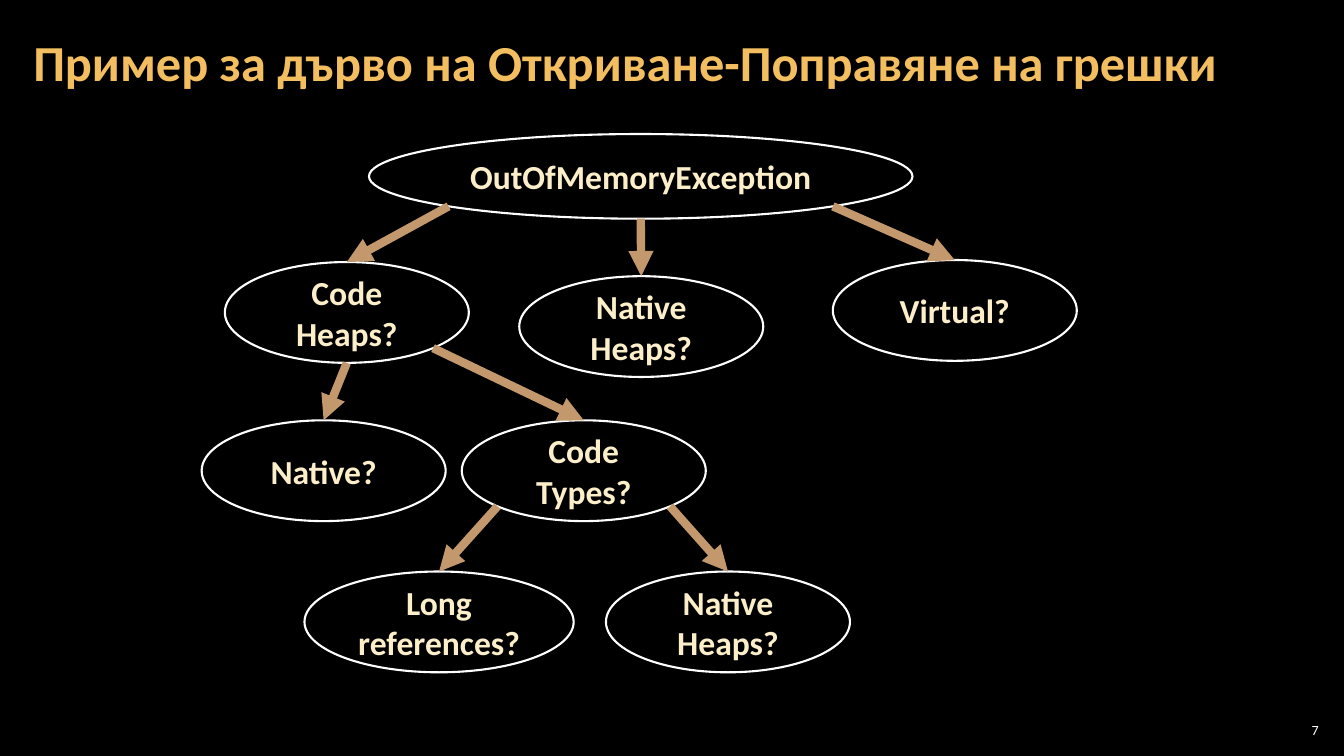
from lxml import etree
from pptx import Presentation
from pptx.dml.color import RGBColor
from pptx.enum import shapes, text
from pptx.oxml.ns import qn
from pptx.util import Inches, Pt

BLACK, WHITE, GOLD, CREAM, TAN = "000000", "FFFFFF", "F3BE60", "FBEEC9", "C3986D"
DIAG = 0.5 ** 0.5 / 2  # offset of an ellipse's diagonal points from its centre
SITES = {"top": (0.5, 0), "bottom": (0.5, 1),
         "bottom left": (0.5 - DIAG, 0.5 + DIAG),
         "bottom right": (0.5 + DIAG, 0.5 + DIAG)}


def color(value):
    return RGBColor.from_string(value)


def write(sp, content, size=24, fill=CREAM, bold=True, align="CENTER",
          spacing=1.0, insets=(0.1, 0.05)):
    tf = sp.text_frame
    tf.word_wrap = True
    tf.vertical_anchor = text.MSO_ANCHOR.MIDDLE
    tf.margin_left = tf.margin_right = Inches(insets[0])
    tf.margin_top = tf.margin_bottom = Inches(insets[1])
    p = tf.paragraphs[0]
    p.alignment = text.PP_ALIGN[align]
    p.line_spacing = spacing
    r = p.add_run()
    r.text = content
    r.font.name, r.font.size, r.font.bold = "Calibri", Pt(size), bold
    r.font.color.rgb = color(fill)


def text_box(s, box, content, **fmt):
    write(s.shapes.add_textbox(*map(Inches, box)), content, **fmt)


def node(s, box, content):
    sp = s.shapes.add_shape(shapes.MSO_SHAPE.OVAL, *map(Inches, box))
    sp.shadow.inherit = False
    sp.fill.solid()
    sp.fill.fore_color.rgb = color(BLACK)
    sp.line.color.rgb = color(WHITE)
    sp.line.width = Pt(1.5)
    write(sp, content)
    return sp


def site(sp, name):
    fx, fy = SITES[name]
    return int(sp.left + fx * sp.width), int(sp.top + fy * sp.height)


def arrow(s, parent, side, child):
    c = s.shapes.add_connector(shapes.MSO_CONNECTOR.STRAIGHT,
                               *site(parent, side), *site(child, "top"))
    c.line.color.rgb = color(TAN)
    c.line.width = Pt(6)
    etree.SubElement(c.line._get_or_add_ln(), qn("a:tailEnd"), type="triangle")
    etree.SubElement(c._element.spPr, qn("a:effectLst"))


def tree(s, box):
    left, top, width, height = box
    # Key: label, x and y within the box, width, height
    layout = {
        "root": ("OutOfMemoryException", 1.66, 0, 5.39, 0.84),
        "managed": ("Code Heaps?", 0.23, 1.27, 2.42, 1),
        "native": ("Native Heaps?", 3.15, 1.41, 2.42, 1),
        "virtual": ("Virtual?", width - 2.42, 1.25, 2.42, 1),
        "managed native": ("Native?", 0, 2.84, 2.42, 1),
        "types": ("Code Types?", 2.58, 2.84, 2.42, 1),
        "references": ("Long references?", 1.02, height - 1, 2.67, 1),
        "type heaps": ("Native Heaps?", 4.01, height - 1, 2.42, 1),
    }
    nodes = {key: node(s, (left + x, top + y, w, h), label)
             for key, (label, x, y, w, h) in layout.items()}
    for parent, side, child in [
        ("root", "bottom left", "managed"),
        ("root", "bottom", "native"),
        ("root", "bottom right", "virtual"),
        ("managed", "bottom", "managed native"),
        ("managed", "bottom right", "types"),
        ("types", "bottom left", "references"),
        ("types", "bottom right", "type heaps"),
    ]:
        arrow(s, nodes[parent], side, nodes[child])


prs = Presentation()
prs.slide_width, prs.slide_height = Inches(13.33), Inches(7.5)
s = prs.slides.add_slide(prs.slide_layouts[6])
s.background.fill.solid()
s.background.fill.fore_color.rgb = color(BLACK)

# Title, decision tree, slide number
text_box(s, (0.21, 0.04, 12.91, 1.21),
         "Пример за дърво на Откриване-Поправяне на грешки",
         size=36, fill=GOLD, align="LEFT", spacing=0.9, insets=(0.12, 0.04))
tree(s, (2, 1.33, 8.68, 5.34))
text_box(s, (12.65, 7.14, 0.47, 0.21), "7", size=10, fill=WHITE,
         bold=False, align="RIGHT", insets=(0.04, 0.04))

prs.save("out.pptx")
